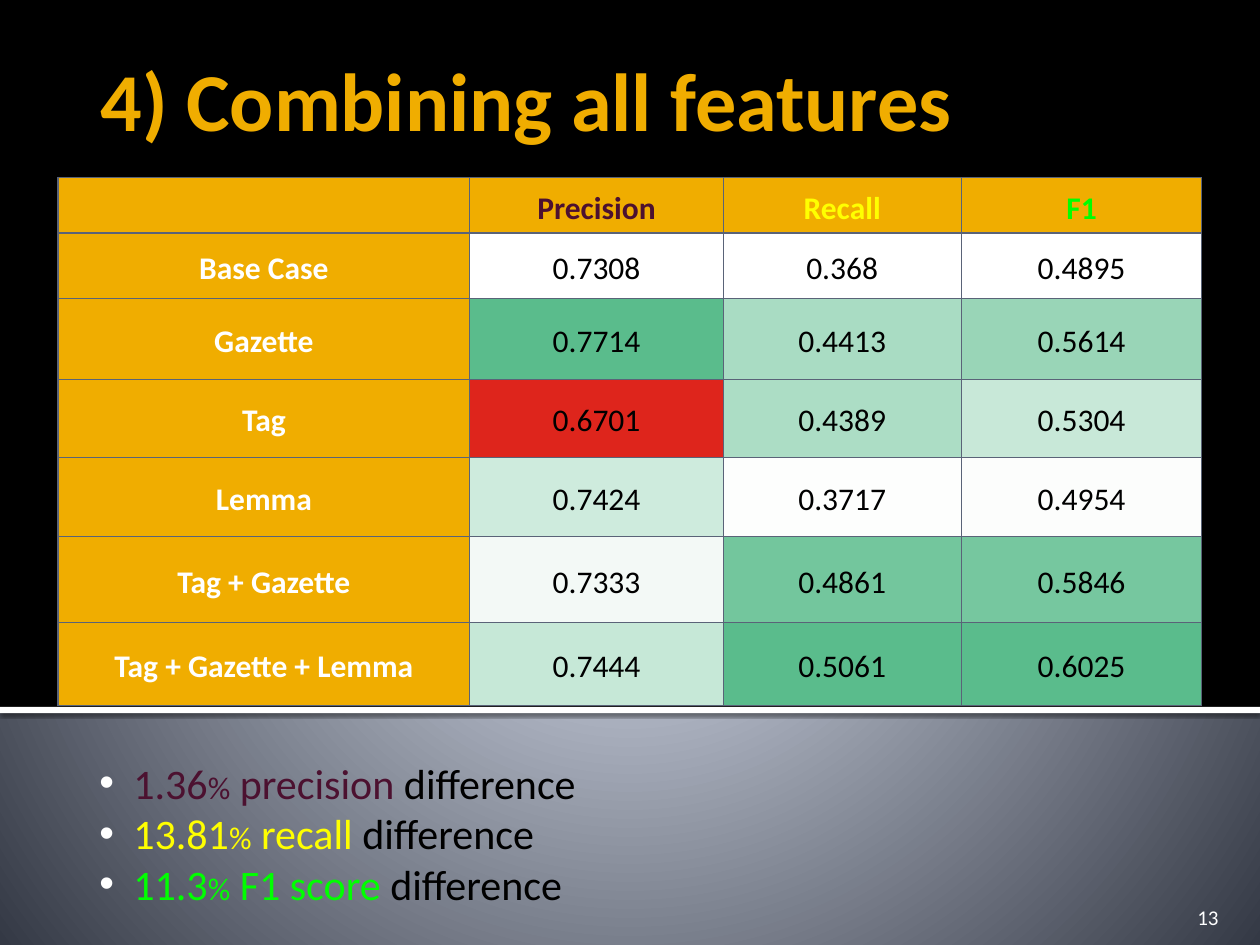
from lxml.etree import SubElement
from pptx import Presentation
from pptx.dml.color import RGBColor
from pptx.enum.shapes import MSO_SHAPE
from pptx.enum.text import MSO_ANCHOR, PP_ALIGN
from pptx.oxml import parse_xml
from pptx.oxml.ns import nsdecls, qn
from pptx.util import Inches, Pt

# Content
TITLE = "4) Combining all features"
NUMBER = "13"
HEADS = [("", "white"), ("Precision", "plum"), ("Recall", "yellow"), ("F1", "lime")]
ROWS = [  # label, then value and cell fill for each score
    ("Base Case", ("0.7308", "FFFFFF"), ("0.368", "FFFFFF"), ("0.4895", "FFFFFF")),
    ("Gazette", ("0.7714", "5ABC8C"), ("0.4413", "A9DCC3"), ("0.5614", "99D5B7")),
    ("Tag", ("0.6701", "DE251C"), ("0.4389", "ACDDC5"), ("0.5304", "C8E8D8")),
    ("Lemma", ("0.7424", "CEEBDD"), ("0.3717", "FDFEFD"), ("0.4954", "FCFDFC")),
    ("Tag + Gazette", ("0.7333", "F3F9F6"), ("0.4861", "73C69D"), ("0.5846", "76C79F")),
    ("Tag + Gazette + Lemma", ("0.7444", "C6E8D7"), ("0.5061", "5ABC8C"),
     ("0.6025", "5ABC8C")),
]
NOTES = [("1.36", " precision ", "plum"), ("13.81", " recall ", "yellow"),
         ("11.3", " F1 score ", "lime")]
WIDTHS = [3.27, 2.01, 1.89, 1.91]
HEIGHTS = [0.44, 0.52, 0.64, 0.62, 0.63, 0.68, 0.66]
COLORS = {"gold": "F0AD00", "white": "FFFFFF", "black": "000000", "plum": "4C1130",
          "yellow": "FFFF00", "lime": "00FF00", "edge": "5A6378"}
STOPS = [(0, "BEC4D3"), (12, "BEC4D3"), (20, "BDC3D1"), (100, "343945")]
FONT = "Calibri"


def style(run, size, color, bold=False):
    font = run.font
    font.name, font.size, font.bold = FONT, Pt(size), bold
    font.color.rgb = RGBColor.from_string(COLORS[color])


def add_band(top, height, color):
    band = slide.shapes.add_shape(MSO_SHAPE.RECTANGLE, 0, Inches(top),
                                  deck.slide_width, Inches(height))
    band.shadow.inherit = False
    band.fill.solid()
    band.fill.fore_color.rgb = RGBColor.from_string(COLORS[color])
    band.line.fill.background()
    return band


def add_box(place, insets):
    box = slide.shapes.add_textbox(*map(Inches, place))
    frame = box.text_frame
    frame.word_wrap = True
    (frame.margin_left, frame.margin_top,
     frame.margin_right, frame.margin_bottom) = map(Inches, insets)
    return frame


def fill_cell(cell, text, color, fill, bold):
    cell.fill.solid()
    cell.fill.fore_color.rgb = RGBColor.from_string(fill)
    cell.vertical_anchor = MSO_ANCHOR.MIDDLE
    cell.margin_left = cell.margin_right = Inches(0.03)
    cell.margin_top = cell.margin_bottom = Inches(0.03)
    para = cell.text_frame.paragraphs[0]
    para.text = text
    para.alignment = PP_ALIGN.CENTER
    para.line_spacing = 1.15
    for run in para.runs:
        style(run, 18, color, bold)
    # Borders come before the fill in the cell properties
    props = cell._tc.get_or_add_tcPr()
    for spot, side in enumerate(("lnL", "lnR", "lnT", "lnB")):
        props.insert(spot, parse_xml(
            f'<a:{side} {nsdecls("a")} w="{Pt(0.75)}"><a:solidFill>'
            f'<a:srgbClr val="{COLORS["edge"]}"/></a:solidFill></a:{side}>'))


deck = Presentation()
deck.slide_width, deck.slide_height = Inches(10), Inches(7.5)
slide = deck.slides.add_slide(deck.slide_layouts[6])

# Radial background
slide.background.fill.gradient()
grad = next(slide.element.iter(qn("a:gradFill")))
for child in list(grad):
    grad.remove(child)
stops = SubElement(grad, qn("a:gsLst"))
for spot, color in STOPS:
    stop = SubElement(stops, qn("a:gs"), pos=str(spot * 1000))
    SubElement(stop, qn("a:srgbClr"), val=color)
radial = SubElement(grad, qn("a:path"), path="circle")
SubElement(radial, qn("a:fillToRect"), l="50000", t="50000", r="50000", b="50000")

# Black panel and white rule with a soft shadow
add_band(0, 5.62, "black")
rule = add_band(5.61, 0.05, "white")
effects = rule._element.spPr.find(qn("a:effectLst"))
effects.append(parse_xml(
    f'<a:outerShdw {nsdecls("a")} blurRad="{Pt(2.5)}" dist="{Pt(0.8)}" dir="5400000">'
    '<a:srgbClr val="000000"><a:alpha val="60000"/></a:srgbClr></a:outerShdw>'))

# Title and slide number
frame = add_box((0.7, 0.39, 8.5, 1.61), (0.1, 0, 0.05, 0))
frame.text = TITLE
style(frame.paragraphs[0].runs[0], 47, "gold", True)
frame = add_box((8.97, 7.08, 0.8, 0.3), (0.1, 0.05, 0.1, 0))
frame.text = NUMBER
frame.vertical_anchor = MSO_ANCHOR.BOTTOM
frame.paragraphs[0].alignment = PP_ALIGN.RIGHT
style(frame.paragraphs[0].runs[0], 12, "white")

# Score table
table = slide.shapes.add_table(len(HEIGHTS), len(WIDTHS), Inches(0.46), Inches(1.41),
                               Inches(sum(WIDTHS)), Inches(sum(HEIGHTS))).table
for col, width in zip(table.columns, WIDTHS):
    col.width = Inches(width)
for row, height in zip(table.rows, HEIGHTS):
    row.height = Inches(height)
for c, (text, color) in enumerate(HEADS):
    fill_cell(table.cell(0, c), text, color, COLORS["gold"], True)
for r, (label, *scores) in enumerate(ROWS, 1):
    fill_cell(table.cell(r, 0), label, "white", COLORS["gold"], True)
    for c, (value, fill) in enumerate(scores, 1):
        fill_cell(table.cell(r, c), value, "black", fill, False)

# Bulleted differences
frame = add_box((0.46, 5.91, 8.7, 1.32), (0.1, 0.1, 0.1, 0.1))
for i, (value, name, color) in enumerate(NOTES):
    para = frame.add_paragraph() if i else frame.paragraphs[0]
    for text, size, tone in ((value, 24, color), ("%", 18, color),
                             (name, 24, color), ("difference", 24, "black")):
        run = para.add_run()
        run.text = text
        style(run, size, tone)
    props = para._p.get_or_add_pPr()
    props.set("marL", str(Inches(0.5)))
    props.set("indent", str(Inches(-0.27)))
    tint = SubElement(props, qn("a:buClr"))
    SubElement(tint, qn("a:srgbClr"), val=COLORS["white"])
    SubElement(props, qn("a:buFont"), typeface="Arial")
    SubElement(props, qn("a:buChar"), char="•")

deck.save("out.pptx")
